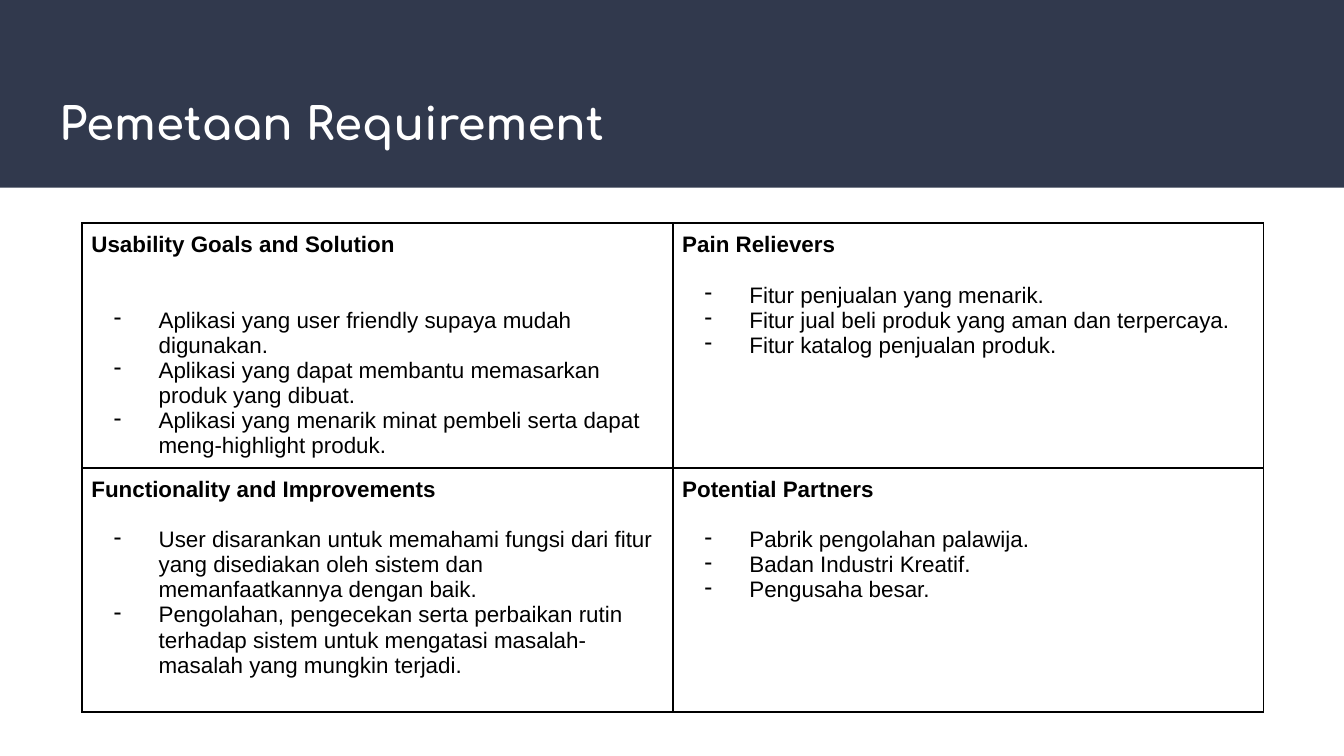
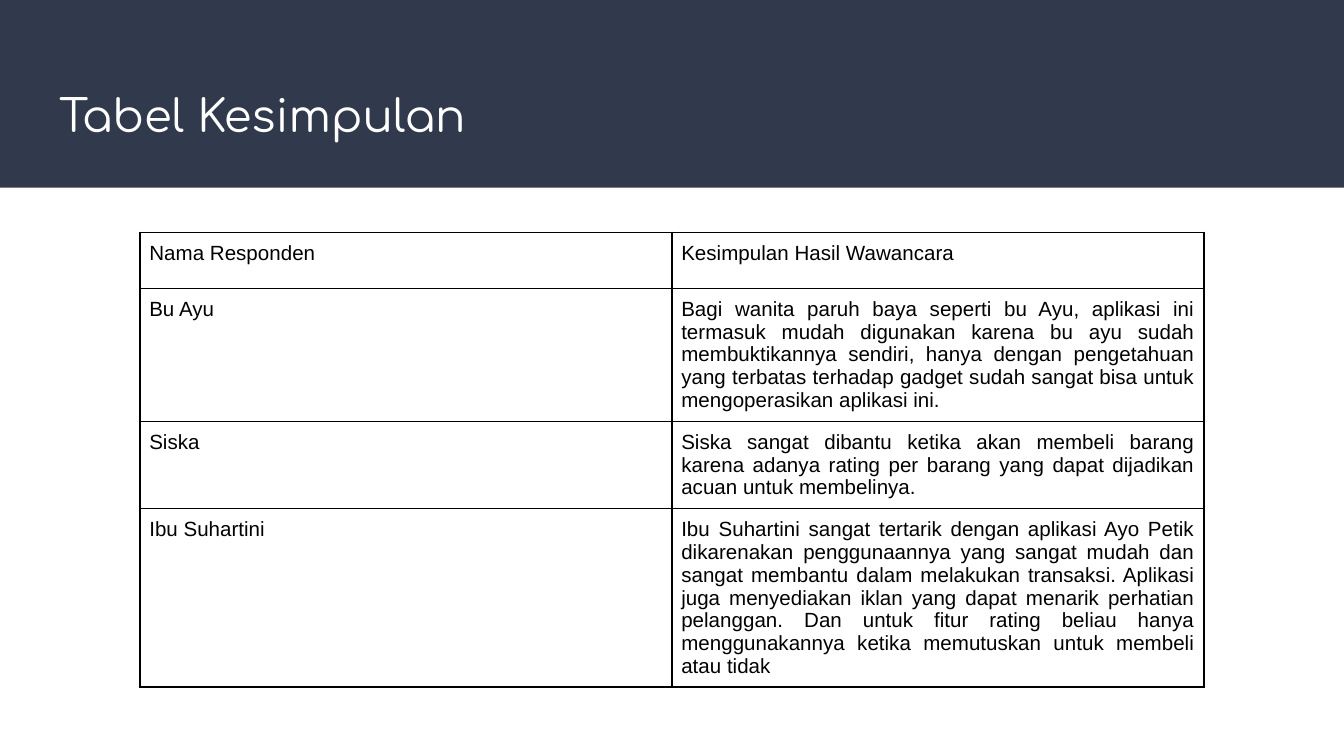
import dataclasses

import lxml.etree
import pptx
import pptx.dml.color
import pptx.enum.shapes
import pptx.enum.text
import pptx.oxml.ns
import pptx.util

Pt = pptx.util.Pt
RGB = pptx.dml.color.RGBColor
ALIGN = pptx.enum.text.PP_ALIGN
qn = pptx.oxml.ns.qn


@dataclasses.dataclass(frozen=True)
class Theme:
    """Colours, fonts and sizes shared by the slides."""
    navy: str = "31394D"
    white: str = "FFFFFF"
    black: str = "000000"
    title_font: str = "Comfortaa"
    body_font: str = "Arial"
    title_size: float = 24
    goal_size: float = 12
    answer_size: float = 11
    line_height: float = 13.5
    cell_inset: float = 5
    title_inset: float = 7.2
    border: float = 1


THEME = Theme()

REQUIREMENTS = [
    [
        ("Usability Goals and Solution", 2, [
            "Aplikasi yang user friendly supaya mudah digunakan.",
            "Aplikasi yang dapat membantu memasarkan produk yang dibuat.",
            "Aplikasi yang menarik minat pembeli serta dapat meng-highlight produk.",
        ]),
        ("Pain Relievers", 1, [
            "Fitur penjualan yang menarik.",
            "Fitur jual beli produk yang aman dan terpercaya.",
            "Fitur katalog penjualan produk.",
        ]),
    ],
    [
        ("Functionality and Improvements", 1, [
            "User disarankan untuk memahami fungsi dari fitur yang disediakan "
            "oleh sistem dan memanfaatkannya dengan baik.",
            "Pengolahan, pengecekan serta perbaikan rutin terhadap sistem "
            "untuk mengatasi masalah-masalah yang mungkin terjadi.",
        ]),
        ("Potential Partners", 1, [
            "Pabrik pengolahan palawija.",
            "Badan Industri Kreatif.",
            "Pengusaha besar.",
        ]),
    ],
]

CONCLUSIONS = [
    ("Nama Responden", "Kesimpulan Hasil Wawancara"),
    ("Bu Ayu",
     "Bagi wanita paruh baya seperti bu Ayu, aplikasi ini termasuk mudah "
     "digunakan karena bu ayu sudah membuktikannya sendiri, hanya dengan "
     "pengetahuan yang terbatas terhadap gadget sudah sangat bisa untuk "
     "mengoperasikan aplikasi ini."),
    ("Siska",
     "Siska sangat dibantu ketika akan membeli barang karena adanya rating "
     "per barang yang dapat dijadikan acuan untuk membelinya."),
    ("Ibu Suhartini",
     "Ibu Suhartini sangat tertarik dengan aplikasi Ayo Petik dikarenakan "
     "penggunaannya yang sangat mudah dan sangat membantu dalam melakukan "
     "transaksi. Aplikasi juga menyediakan iklan yang dapat menarik perhatian "
     "pelanggan. Dan untuk fitur rating beliau hanya menggunakannya ketika "
     "memutuskan untuk membeli atau tidak"),
]


def format_runs(p, font, size, color, bold=False):
    """Apply one font setting to all runs of a paragraph."""
    for r in p.runs:
        r.font.name = font
        r.font.size = Pt(size)
        r.font.bold = bold
        r.font.color.rgb = RGB.from_string(color)


def set_insets(target, inset):
    """Give a text frame or cell the same margin on every side."""
    target.margin_left = target.margin_right = Pt(inset)
    target.margin_top = target.margin_bottom = Pt(inset)


def add_band(s, prs):
    """Draw the title band at the back of a slide."""
    sp = s.shapes.add_shape(
        pptx.enum.shapes.MSO_SHAPE.RECTANGLE, 0, 0, prs.slide_width, Pt(100.5))
    sp.fill.solid()
    sp.fill.fore_color.rgb = RGB.from_string(THEME.navy)
    sp.line.fill.background()
    sp.shadow.inherit = False
    s.shapes.element.insert(2, sp.element)


def add_titled_slide(prs, title, bold=False, spacing=1.0):
    """Add a slide with the title band and its title."""
    s = prs.slides.add_slide(prs.slide_layouts[5])
    add_band(s, prs)
    sp = s.shapes.title
    sp.left, sp.top, sp.width, sp.height = Pt(24.5), Pt(39.6), Pt(671), Pt(49)
    tf = sp.text_frame
    tf.text = title
    tf.word_wrap = True
    tf.auto_size = pptx.enum.text.MSO_AUTO_SIZE.NONE
    tf.vertical_anchor = pptx.enum.text.MSO_ANCHOR.TOP
    set_insets(tf, THEME.title_inset)
    p = tf.paragraphs[0]
    p.alignment = ALIGN.LEFT
    p.line_spacing = spacing
    format_runs(p, THEME.title_font, THEME.title_size, THEME.white, bold)
    return s


def set_borders(cell):
    """Draw a solid line on all four sides of a cell."""
    tc_pr = cell._tc.get_or_add_tcPr()
    for i, side in enumerate(("lnL", "lnR", "lnT", "lnB")):
        ln = lxml.etree.Element(qn(f"a:{side}"), w=str(Pt(THEME.border)))
        fill = lxml.etree.SubElement(ln, qn("a:solidFill"))
        lxml.etree.SubElement(fill, qn("a:srgbClr"), val=THEME.black)
        tc_pr.insert(i, ln)


def add_grid(s, left, top, col_width, row_height, rows, fill_cell):
    """Add a bordered table with equal columns and rows."""
    n_rows, n_cols = len(rows), len(rows[0])
    table = s.shapes.add_table(
        n_rows, n_cols, Pt(left), Pt(top),
        Pt(col_width * n_cols), Pt(row_height * n_rows)).table
    table.first_row = table.horz_banding = False
    for i, row in enumerate(rows):
        for j, content in enumerate(row):
            cell = table.cell(i, j)
            cell.fill.background()
            set_insets(cell, THEME.cell_inset)
            set_borders(cell)
            fill_cell(cell, content)


def set_dash(p):
    """Turn a paragraph into a dash bullet with a hanging indent."""
    p_pr = p._p.get_or_add_pPr()
    p_pr.set("marL", str(Pt(36)))
    p_pr.set("indent", str(Pt(-24)))
    color = lxml.etree.SubElement(p_pr, qn("a:buClr"))
    lxml.etree.SubElement(color, qn("a:srgbClr"), val=THEME.black)
    lxml.etree.SubElement(p_pr, qn("a:buChar"), char="-")


def fill_requirement(cell, content):
    """Write a bold heading and its dash list into a cell."""
    heading, gap_lines, items = content
    tf = cell.text_frame
    tf.text = heading
    p = tf.paragraphs[0]
    p.space_after = Pt(gap_lines * THEME.line_height)
    format_runs(p, THEME.body_font, THEME.goal_size, THEME.black, bold=True)
    for item in items:
        p = tf.add_paragraph()
        p.text = item
        set_dash(p)
        format_runs(p, THEME.body_font, THEME.goal_size, THEME.black)


def fill_conclusion(cell, text):
    """Write one justified paragraph into a cell."""
    cell.text_frame.text = text
    p = cell.text_frame.paragraphs[0]
    p.alignment = ALIGN.JUSTIFY
    format_runs(p, THEME.body_font, THEME.answer_size, THEME.black)


def main():
    """Build and save the two slides."""
    prs = pptx.Presentation()
    prs.slide_width, prs.slide_height = Pt(720), Pt(405)

    s = add_titled_slide(prs, "Pemetaan Requirement", bold=True, spacing=1.15)
    add_grid(s, 44, 119.5, 316.5, 131, REQUIREMENTS, fill_requirement)

    s = add_titled_slide(prs, "Tabel Kesimpulan")
    add_grid(s, 75, 124.5, 285, 30, CONCLUSIONS, fill_conclusion)

    prs.save("out.pptx")


if __name__ == "__main__":
    main()
